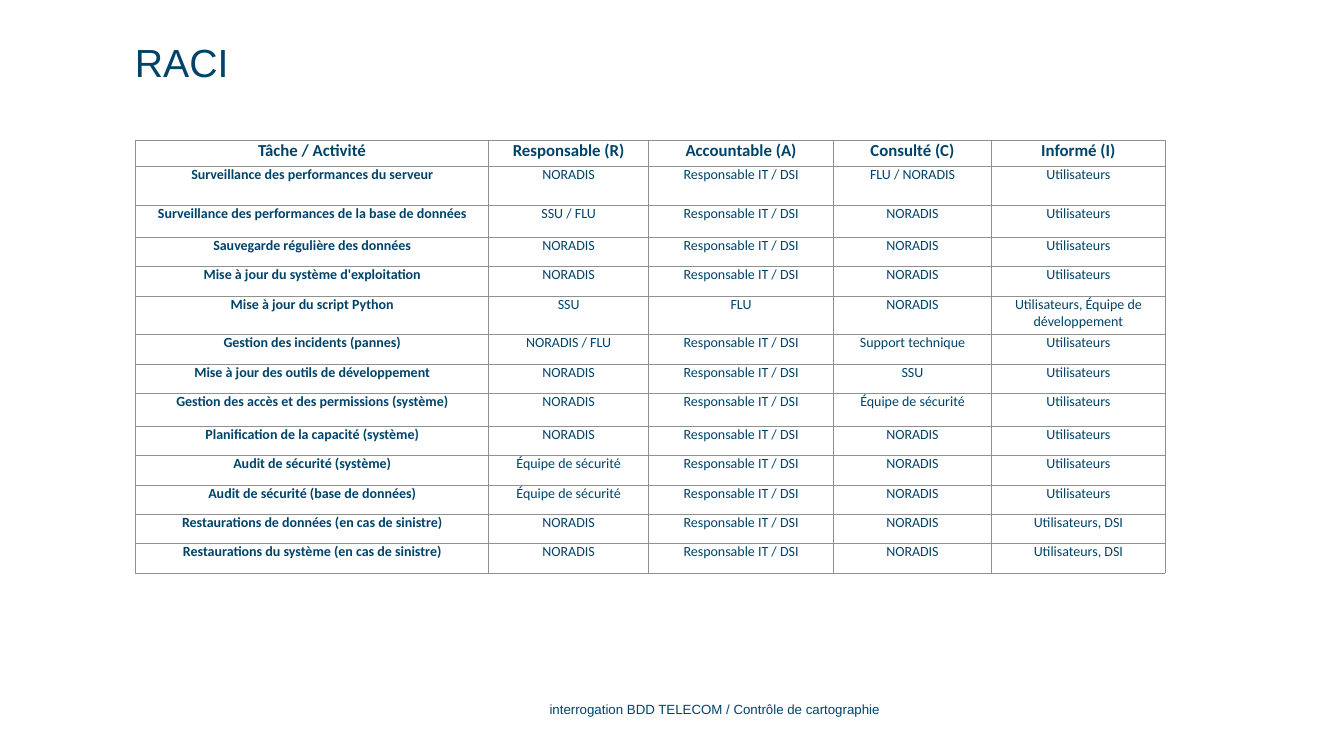
"""Build the RACI matrix slide."""
from lxml import etree
from pptx import Presentation
from pptx.dml.color import RGBColor
from pptx.enum.text import MSO_ANCHOR, PP_ALIGN
from pptx.oxml.ns import qn
from pptx.util import Cm, Pt

LEFT, CENTER, RIGHT = PP_ALIGN.LEFT, PP_ALIGN.CENTER, PP_ALIGN.RIGHT
MIDDLE, BOTTOM = MSO_ANCHOR.MIDDLE, MSO_ANCHOR.BOTTOM
COLORS = {"text": "004369", "border": "909090"}
BORDER_WIDTH = Pt(0.6)
BORDER_SIDES = ("a:lnL", "a:lnR", "a:lnT", "a:lnB")

COLUMN_WIDTHS = (8.89, 4.04, 4.65, 3.99, 4.37)
HEADER_HEIGHT = 0.66
TASK_HEIGHT = 0.74
TALL_ROWS = {1: 0.97, 2: 0.81, 5: 0.97, 8: 0.83}

MANAGER = "Responsable IT / DSI"
PROVIDER = "NORADIS"
SECURITY = "Équipe de sécurité"
USERS = "Utilisateurs"

HEADERS = ("Tâche / Activité", "Responsable (R)", "Accountable (A)",
           "Consulté (C)", "Informé (I)")
TASKS = (
    ("Surveillance des performances du serveur", PROVIDER, MANAGER, f"FLU / {PROVIDER}", USERS),
    ("Surveillance des performances de la base de données", "SSU / FLU", MANAGER, PROVIDER, USERS),
    ("Sauvegarde régulière des données", PROVIDER, MANAGER, PROVIDER, USERS),
    ("Mise à jour du système d'exploitation", PROVIDER, MANAGER, PROVIDER, USERS),
    ("Mise à jour du script Python", "SSU", "FLU", PROVIDER, "Utilisateurs, Équipe de développement"),
    ("Gestion des incidents (pannes)", f"{PROVIDER} / FLU", MANAGER, "Support technique", USERS),
    ("Mise à jour des outils de développement", PROVIDER, MANAGER, "SSU", USERS),
    ("Gestion des accès et des permissions (système)", PROVIDER, MANAGER, SECURITY, USERS),
    ("Planification de la capacité (système)", PROVIDER, MANAGER, PROVIDER, USERS),
    ("Audit de sécurité (système)", SECURITY, MANAGER, PROVIDER, USERS),
    ("Audit de sécurité (base de données)", SECURITY, MANAGER, PROVIDER, USERS),
    ("Restaurations de données (en cas de sinistre)", PROVIDER, MANAGER, PROVIDER, "Utilisateurs, DSI"),
    ("Restaurations du système (en cas de sinistre)", PROVIDER, MANAGER, PROVIDER, "Utilisateurs, DSI"),
)


def write_text(frame, text, *, size, font="Arial", bold=False, align=LEFT, spacing=1.0):
    """Write one formatted paragraph into a text frame."""
    para = frame.paragraphs[0]
    para.alignment = align
    para.line_spacing = spacing
    span = para.add_run()
    span.text = text
    span.font.name = font
    span.font.size = Pt(size)
    span.font.bold = bold
    span.font.color.rgb = RGBColor.from_string(COLORS["text"])


def add_text(page, text, left, top, width, height, *, anchor, **text_format):
    """Add a text box without margins, placed in centimetres."""
    box = page.shapes.add_textbox(Cm(left), Cm(top), Cm(width), Cm(height))
    frame = box.text_frame
    frame.word_wrap = True
    frame.vertical_anchor = anchor
    frame.margin_left = frame.margin_right = frame.margin_top = frame.margin_bottom = 0
    write_text(frame, text, **text_format)


def draw_borders(cell):
    """Draw a thin line on each side of a cell."""
    properties = cell._tc.get_or_add_tcPr()
    for side in BORDER_SIDES:
        line = etree.SubElement(properties, qn(side), w=str(BORDER_WIDTH))
        fill = etree.SubElement(line, qn("a:solidFill"))
        etree.SubElement(fill, qn("a:srgbClr"), val=COLORS["border"])


def fill_cell(cell, text, **text_format):
    """Give a cell its margins, borders and centred text."""
    cell.margin_left = cell.margin_right = Cm(0.02)
    cell.margin_top = cell.margin_bottom = 0
    draw_borders(cell)
    cell.fill.background()
    write_text(cell.text_frame, text, font="Calibri", align=CENTER, **text_format)


def add_matrix(page, left, top):
    """Add the table of tasks and roles."""
    rows = (HEADERS, *TASKS)
    heights = [HEADER_HEIGHT] + [TALL_ROWS.get(number, TASK_HEIGHT)
                                 for number in range(1, len(rows))]
    table = page.shapes.add_table(
        len(rows), len(HEADERS), Cm(left), Cm(top),
        Cm(sum(COLUMN_WIDTHS)), Cm(sum(heights))).table
    table.first_row = table.horz_banding = False
    for column, width in zip(table.columns, COLUMN_WIDTHS):
        column.width = Cm(width)
    for row_number, (texts, height) in enumerate(zip(rows, heights)):
        table.rows[row_number].height = Cm(height)
        is_header = row_number == 0
        for column_number, text in enumerate(texts):
            fill_cell(table.cell(row_number, column_number), text,
                      size=12 if is_header else 10,
                      bold=is_header or column_number == 0)


def main():
    """Build and save the deck."""
    deck = Presentation()
    deck.slide_width, deck.slide_height = Cm(33.87), Cm(19.05)
    page = deck.slides.add_slide(deck.slide_layouts[6])
    add_text(page, "RACI", 3.4, 0.3, 27.89, 1.88, anchor=BOTTOM, size=28, spacing=0.95)
    add_text(page, "interrogation BDD TELECOM / Contrôle de cartographie",
             12.57, 17.68, 9.6, 0.4, anchor=MIDDLE, size=9.5, align=RIGHT)
    add_matrix(page, 3.42, 3.54)
    deck.save("out.pptx")


if __name__ == "__main__":
    main()
